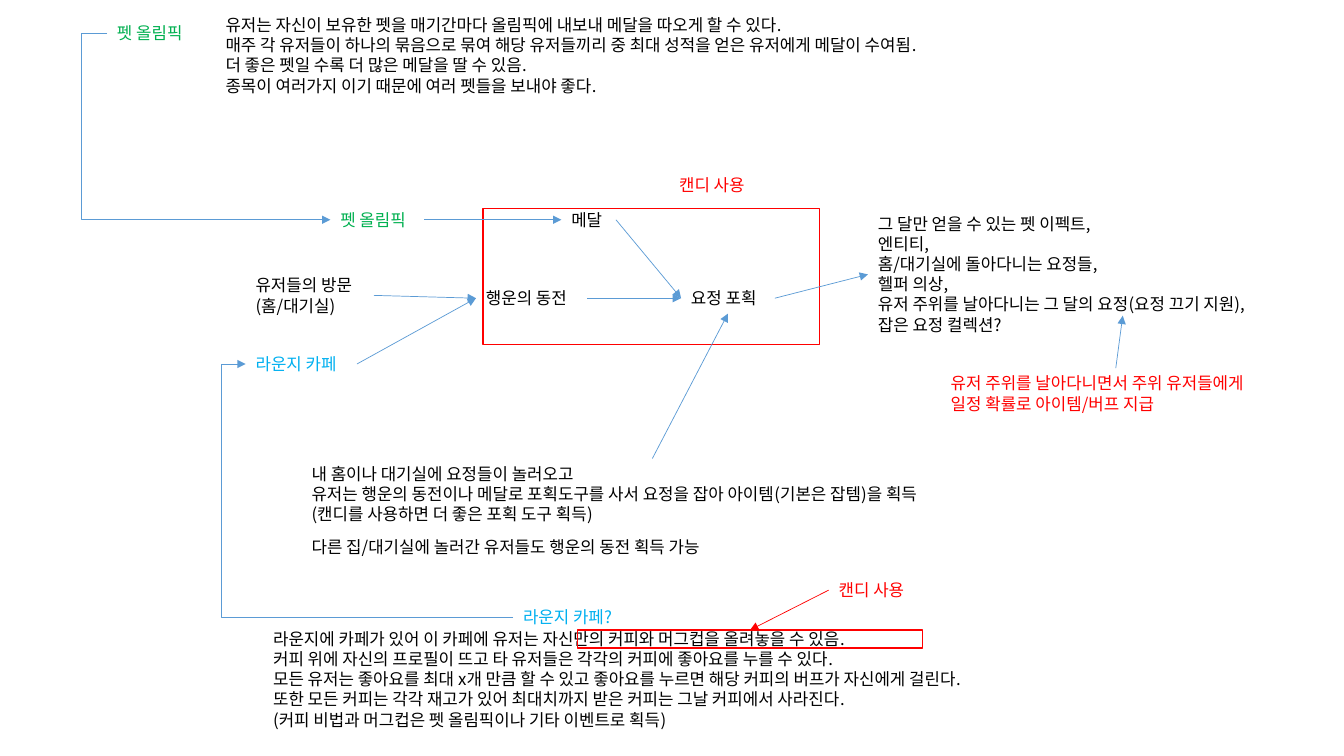
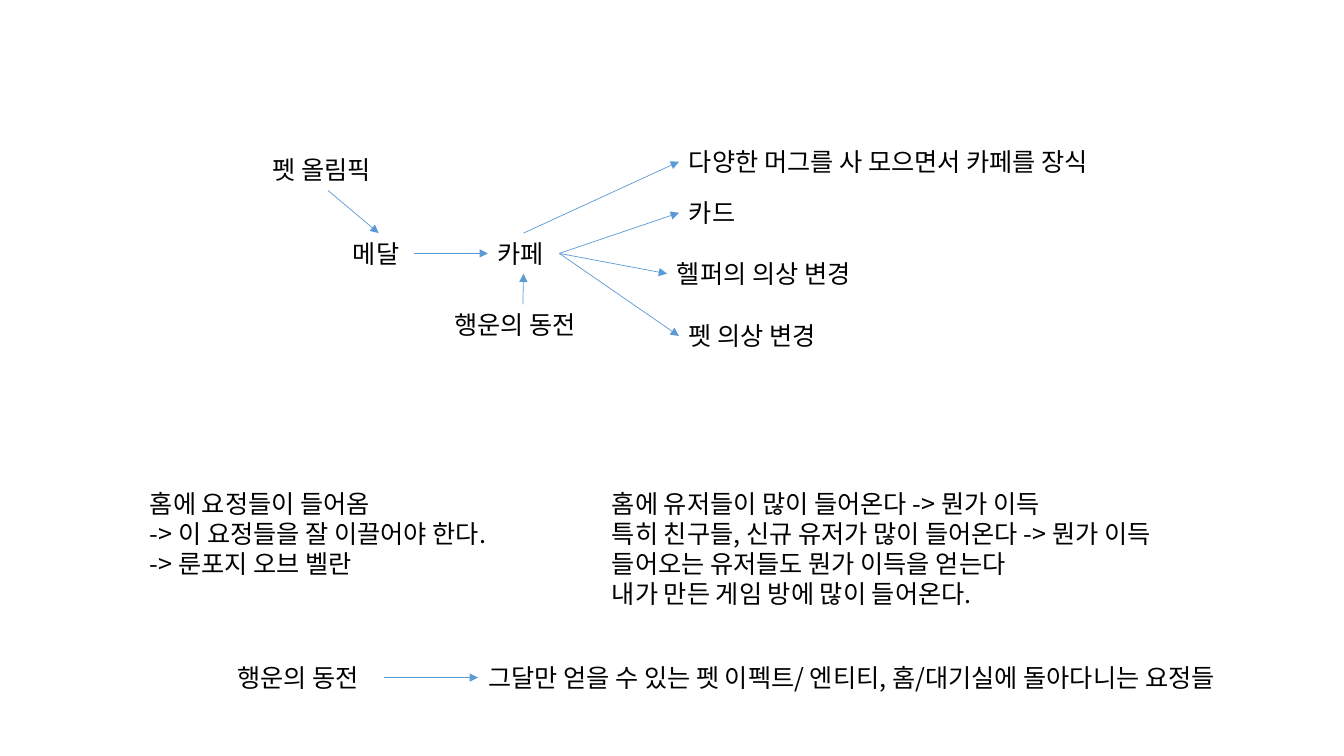
from copy import deepcopy
from dataclasses import dataclass

from lxml import etree
from pptx import Presentation
from pptx.dml.color import RGBColor
from pptx.enum.shapes import MSO_CONNECTOR, MSO_SHAPE
from pptx.enum.text import MSO_AUTO_SIZE
from pptx.oxml.ns import qn
from pptx.util import Pt

STRAIGHT, ELBOW = MSO_CONNECTOR.STRAIGHT, MSO_CONNECTOR.ELBOW
RECTANGLE = MSO_SHAPE.RECTANGLE
GROW = MSO_AUTO_SIZE.SHAPE_TO_FIT_TEXT
TOP, LEFT, BOTTOM, RIGHT = range(4)


@dataclass(frozen=True)
class Theme:
    font: str = "Noto Sans CJK KR"
    ink: str = "000000"
    olympic: str = "00B050"
    cafe: str = "00B0F0"
    candy: str = "FF0000"
    arrow: str = "5B9BD5"
    small: float = 12
    large: float = 18
    arrow_width: float = 0.5
    frame_width: float = 1


class Board:
    def __init__(self, deck, theme, size):
        self.theme = theme
        self.size = size
        self.slide = deck.slides.add_slide(deck.slide_layouts[6])

    def text(self, left, top, width, height, *paragraphs, color=None):
        box = self.slide.shapes.add_textbox(Pt(left), Pt(top), Pt(width), Pt(height))
        frame = box.text_frame
        frame.word_wrap = False
        frame.auto_size = GROW
        for number, words in enumerate(paragraphs):
            paragraph = frame.add_paragraph() if number else frame.paragraphs[0]
            paragraph.text = words
            for run in paragraph.runs:
                for name, value in {"size": Pt(self.size), "name": self.theme.font}.items():
                    setattr(run.font, name, value)
                run.font.color.rgb = RGBColor.from_string(color or self.theme.ink)
                style = run.font._element
                etree.SubElement(style, qn("a:ea"), typeface=self.theme.font)
            for line_break in paragraph._p.findall(qn("a:br")):
                line_break.append(deepcopy(style))
        return box

    def frame(self, left, top, width, height):
        frame = self.slide.shapes.add_shape(
            RECTANGLE, Pt(left), Pt(top), Pt(width), Pt(height))
        frame.shadow.inherit = False
        frame.fill.background()
        self.outline(frame, self.theme.candy, self.theme.frame_width)
        return frame

    def outline(self, item, color, width):
        item.line.color.rgb = RGBColor.from_string(color)
        item.line.width = Pt(width)

    def arrow(self, source, side, target, target_side, color=None, kind=STRAIGHT):
        link = self.slide.shapes.add_connector(kind, 0, 0, 0, 0)
        link.begin_connect(source, side)
        if target_side is None:
            link.end_x, link.end_y = (Pt(value) for value in target)
        else:
            link.end_connect(target, target_side)
        self.outline(link, color or self.theme.arrow, self.theme.arrow_width)
        etree.SubElement(link.line._get_or_add_ln(), qn("a:tailEnd"), type="triangle")
        etree.SubElement(link._element.spPr, qn("a:effectLst"))
        return link

    def detour(self, source, target, lane):
        link = self.arrow(source, LEFT, target, LEFT, kind=ELBOW)
        bend = (Pt(lane) - link.begin_x) / (link.end_x - link.begin_x)
        geometry = link._element.spPr.find(qn("a:prstGeom"))
        guides = geometry.find(qn("a:avLst"))
        etree.SubElement(guides, qn("a:gd"), name="adj1", fmla=f"val {round(bend * 100000)}")


def fairy_event(deck, theme):
    board = Board(deck, theme, theme.small)
    olympic = board.text(236, 146, 67, 22, "펫 올림픽", color=theme.olympic)
    medal = board.text(401, 146, 39, 22, "메달")
    lounge = board.text(175.5, 249, 79.5, 22, "라운지 카페", color=theme.cafe)
    coin = board.text(340, 202, 79.5, 22, "행운의 동전")
    visits = board.text(175.5, 193, 91.5, 36, "유저들의 방문", "(홈/대기실)")
    capture = board.text(486.5, 202, 67, 22, "요정 포획")
    rewards = board.text(
        620, 149, 309, 94,
        "그 달만 얻을 수 있는 펫 이펙트,\n엔티티,\n홈/대기실에 돌아다니는 요정들,",
        "헬퍼 의상,",
        "유저 주위를 날아다니는 그 달의 요정(요정 끄기 지원),",
        "잡은 요정 컬렉션?")
    capture_rules = board.text(
        215.5, 327.5, 501, 51,
        "내 홈이나 대기실에 요정들이 놀러오고",
        "유저는 행운의 동전이나 메달로 포획도구를 사서 요정을 잡아 아이템(기본은 잡템)을 획득\n"
        "(캔디를 사용하면 더 좋은 포획 도구 획득)")
    board.text(215.5, 380, 328.5, 22, "다른 집/대기실에 놀러간 유저들도 행운의 동전 획득 가능")
    board.text(478, 121.5, 67, 22, "캔디 사용", color=theme.candy)
    board.frame(345, 149, 240.5, 97)
    cafe_idea = board.text(366.5, 430, 85, 22, "라운지 카페?", color=theme.cafe)
    board.text(
        188, 445.5, 571.5, 80,
        "라운지에 카페가 있어 이 카페에 유저는 자신만의 커피와 머그컵을 올려놓을 수 있음.",
        "커피 위에 자신의 프로필이 뜨고 타 유저들은 각각의 커피에 좋아요를 누를 수 있다.",
        "모든 유저는 좋아요를 최대 x개 만큼 할 수 있고 좋아요를 누르면 해당 커피의 버프가 자신에게 걸린다.\n"
        "또한 모든 커피는 각각 재고가 있어 최대치까지 받은 커피는 그날 커피에서 사라진다.\n"
        "(커피 비법과 머그컵은 펫 올림픽이나 기타 이벤트로 획득)")
    olympic_idea = board.text(76.5, 13, 67, 22, "펫 올림픽", color=theme.olympic)
    board.text(
        154, 7, 574, 65.5,
        "유저는 자신이 보유한 펫을 매기간마다 올림픽에 내보내 메달을 따오게 할 수 있다.",
        "매주 각 유저들이 하나의 묶음으로 묶여 해당 유저들끼리 중 최대 성적을 얻은 유저에게 메달이 수여됨.",
        "더 좋은 펫일 수록 더 많은 메달을 딸 수 있음.",
        "종목이 여러가지 이기 때문에 여러 펫들을 보내야 좋다.")
    mug_candy = board.text(592, 410.5, 67, 22, "캔디 사용", color=theme.candy)
    mug_frame = board.frame(412.5, 450, 246.5, 13)
    fairy_buff = board.text(
        672, 263, 250, 36,
        "유저 주위를 날아다니면서 주위 유저들에게\n일정 확률로 아이템/버프 지급",
        color=theme.candy)

    for source, side, target, target_side in (
            (olympic, RIGHT, medal, LEFT),
            (lounge, RIGHT, coin, LEFT),
            (visits, RIGHT, coin, LEFT),
            (coin, RIGHT, capture, LEFT),
            (capture, RIGHT, rewards, LEFT),
            (medal, RIGHT, capture, LEFT),
            (capture_rules, TOP, capture, BOTTOM),
            (fairy_buff, TOP, (802, 225.5), None)):
        board.arrow(source, side, target, target_side)
    board.arrow(mug_candy, LEFT, mug_frame, TOP, color=theme.candy)
    board.detour(cafe_idea, lounge, 158)
    board.detour(olympic_idea, olympic, 58)


def cafe_economy(deck, theme):
    board = Board(deck, theme, theme.large)
    card = board.text(485, 137.5, 51, 29, "카드")
    olympic = board.text(187.5, 107, 93.5, 29, "펫 올림픽")
    cafe = board.text(348.5, 166.5, 51, 29, "카페")
    medal = board.text(245, 166.5, 51, 29, "메달")
    coin = board.text(317.5, 217.5, 112, 29, "행운의 동전")
    helper = board.text(476.5, 181, 155, 29, "헬퍼의 의상 변경")
    pet = board.text(485, 225.5, 118, 29, "펫 의상 변경")
    mugs = board.text(485, 101, 338, 29, "다양한 머그를 사 모으면서 카페를 장식")
    board.text(100, 345, 289, 73,
               "홈에 요정들이 들어옴",
               "-> 이 요정들을 잘 이끌어야 한다.",
               "-> 룬포지 오브 벨란")
    board.text(430, 345, 453.5, 94.5,
               "홈에 유저들이 많이 들어온다 -> 뭔가 이득",
               "특히 친구들, 신규 유저가 많이 들어온다 -> 뭔가 이득",
               "들어오는 유저들도 뭔가 이득을 얻는다",
               "내가 만든 게임 방에 많이 들어온다.")
    monthly_coin = board.text(162.5, 469.5, 112, 29, "행운의 동전")
    monthly_rewards = board.text(
        341.5, 469.5, 600, 29,
        "그달만 얻을 수 있는 펫 이펙트/ 엔티티, 홈/대기실에 돌아다니는 요정들")

    for source, side, target, target_side in (
            (olympic, BOTTOM, medal, TOP),
            (medal, RIGHT, cafe, LEFT),
            (coin, TOP, cafe, BOTTOM),
            (cafe, TOP, mugs, LEFT),
            (cafe, RIGHT, card, LEFT),
            (cafe, RIGHT, helper, LEFT),
            (cafe, RIGHT, pet, LEFT),
            (monthly_coin, RIGHT, monthly_rewards, LEFT)):
        board.arrow(source, side, target, target_side)


def main():
    deck = Presentation()
    deck.slide_width, deck.slide_height = Pt(960), Pt(540)
    theme = Theme()
    fairy_event(deck, theme)
    cafe_economy(deck, theme)
    deck.save("out.pptx")


if __name__ == "__main__":
    main()
